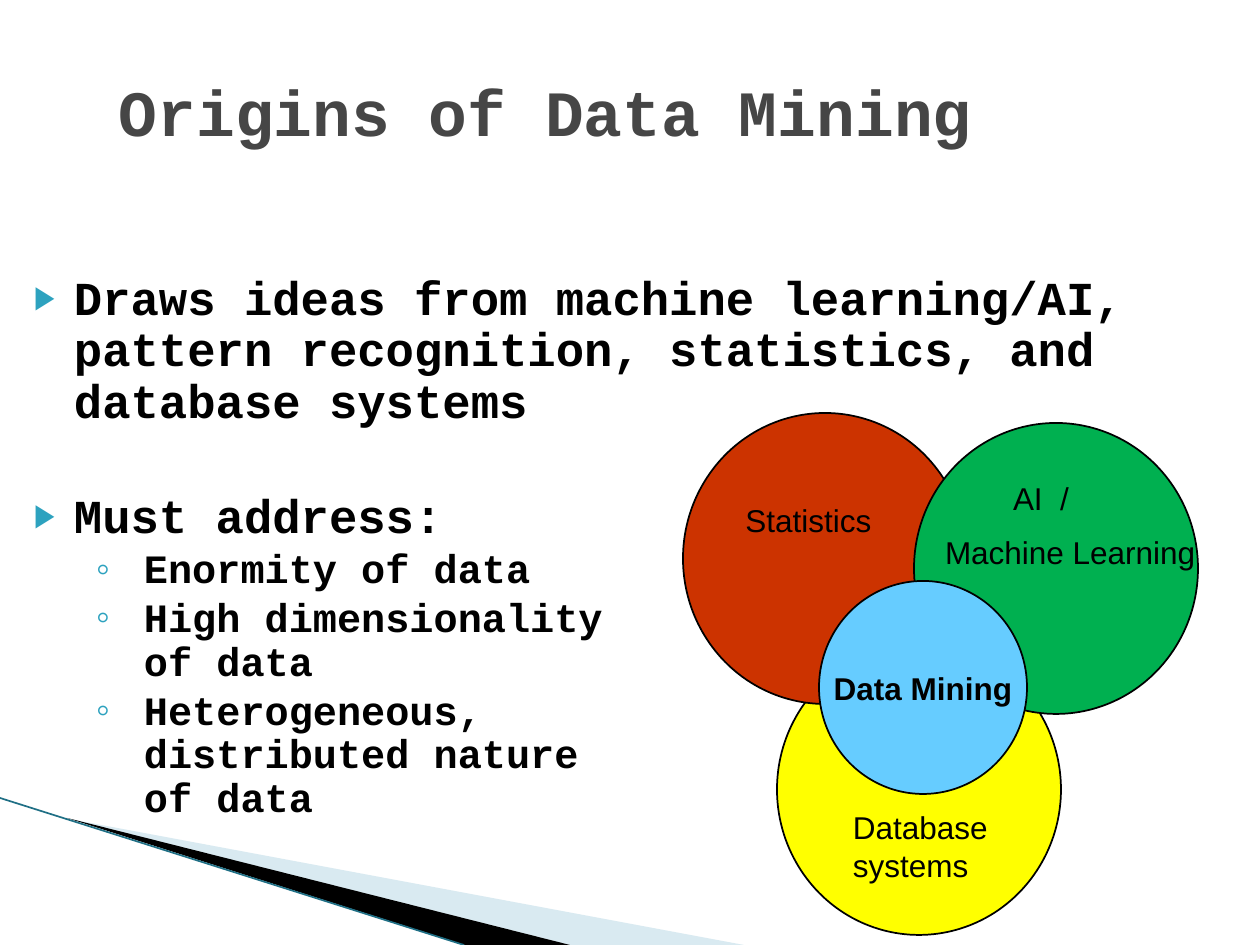
from lxml.etree import SubElement
from pptx import Presentation
from pptx.dml.color import RGBColor
from pptx.enum.shapes import MSO_CONNECTOR, MSO_SHAPE
from pptx.enum.text import MSO_ANCHOR, PP_ALIGN
from pptx.oxml.ns import qn
from pptx.util import Emu, Pt

EMU_PER_PX = 914400 / 126
COLORS = {
    "title": "464646",
    "ink": "000000",
    "bullet": "2DA2BF",
    "mist": "A0CBDC",
    "edge": "1F6F85",
    "statistics": "CC3300",
    "learning": "00B050",
    "database": "FFFF00",
    "mining": "66CCFF",
}
MAIN = {"size": 27, "margin": 40, "hang": 40, "mark": "▶", "scale": 68}
SUB = {"size": 23, "margin": 110, "hang": 48, "mark": "◦", "scale": 100}
POINTS = [
    (MAIN, 0, ["Draws ideas from machine learning/AI, pattern recognition, "
               "statistics, and database systems"]),
    (MAIN, 36, ["Must address:"]),
    (SUB, 2.8, ["Enormity of data"]),
    (SUB, 2.8, ["High dimensionality", "of data"]),
    (SUB, 2.8, ["Heterogeneous,", "distributed nature", "of data"]),
]


def px(length):
    return Emu(round(length * EMU_PER_PX))


def color(name):
    return RGBColor.from_string(COLORS[name])


def add_wedge(slide, corners, fill, opacity=100):
    builder = slide.shapes.build_freeform(*corners[0], scale=EMU_PER_PX)
    builder.add_line_segments(corners[1:], close=True)
    wedge = builder.convert_to_shape()
    wedge.shadow.inherit = False
    wedge.fill.solid()
    wedge.fill.fore_color.rgb = color(fill)
    wedge.line.fill.background()
    if opacity < 100:
        tint = wedge.fill._xPr.find(".//" + qn("a:srgbClr"))
        SubElement(tint, qn("a:alpha"), val=str(opacity * 1000))


def add_edge(slide, x1, y1, x2, y2):
    edge = slide.shapes.add_connector(
        MSO_CONNECTOR.STRAIGHT, px(x1), px(y1), px(x2), px(y2))
    edge.line.color.rgb = color("edge")
    edge.line.width = Pt(0.95)
    SubElement(edge._element.spPr, qn("a:effectLst"))


def add_circle(slide, left, top, width, height, fill):
    circle = slide.shapes.add_shape(
        MSO_SHAPE.OVAL, px(left), px(top), px(width), px(height))
    circle.shadow.inherit = False
    circle.fill.solid()
    circle.fill.fore_color.rgb = color(fill)
    circle.line.color.rgb = color("ink")
    circle.line.width = Pt(1)
    return circle


def add_text_frame(slide, left, top, width, height):
    frame = slide.shapes.add_textbox(
        px(left), px(top), px(width), px(height)).text_frame
    frame.word_wrap = True
    frame.margin_left = frame.margin_right = 0
    frame.margin_top = frame.margin_bottom = 0
    return frame


def add_run(paragraph, words, size, font="Arial", ink="ink", bold=False):
    run = paragraph.add_run()
    run.text = words
    run.font.size = Pt(size)
    run.font.name = font
    run.font.bold = bold
    run.font.color.rgb = color(ink)


def next_paragraph(frame, index):
    return frame.add_paragraph() if index else frame.paragraphs[0]


def add_bullet(paragraph, style):
    props = paragraph._p.get_or_add_pPr()
    props.set("marL", str(px(style["margin"])))
    props.set("indent", str(-px(style["hang"])))
    tint = SubElement(props, qn("a:buClr"))
    SubElement(tint, qn("a:srgbClr"), val=COLORS["bullet"])
    SubElement(props, qn("a:buSzPct"), val=str(style["scale"] * 1000))
    SubElement(props, qn("a:buFont"), typeface="Arial")
    SubElement(props, qn("a:buChar"), char=style["mark"])


def add_points(slide):
    frame = add_text_frame(slide, 34, 274, 1193, 560)
    for index, (style, gap, lines) in enumerate(POINTS):
        point = next_paragraph(frame, index)
        point.line_spacing = 0.91
        point.space_before = Pt(gap)
        add_bullet(point, style)
        for number, line in enumerate(lines):
            if number:
                point.add_line_break()
            add_run(point, line, style["size"], "Courier New", bold=True)


def add_label(slide, left, top, width, height, lines, align=PP_ALIGN.LEFT):
    frame = add_text_frame(slide, left, top, width, height)
    for index, (words, indent) in enumerate(lines):
        line = next_paragraph(frame, index)
        line.alignment = align
        line.space_before = Pt(9 if index else 0)
        if indent:
            line._p.get_or_add_pPr().set("marL", str(px(indent)))
        add_run(line, words, 18)


def add_title(slide):
    frame = add_text_frame(slide, 119, 74, 921, 73)
    frame.vertical_anchor = MSO_ANCHOR.MIDDLE
    add_run(frame.paragraphs[0], "Origins of Data Mining", 36.9,
            "Courier New", "title", True)


def add_venn(slide):
    add_circle(slide, 777, 644, 284, 291, "database")
    add_circle(slide, 683, 413, 284, 291, "statistics")
    add_circle(slide, 914, 423, 284, 291, "learning")
    add_label(slide, 945, 479, 294, 95,
              [("AI  /", 68), ("Machine Learning", 0)])
    add_label(slide, 714, 501, 189, 38, [("Statistics", 0)], PP_ALIGN.CENTER)
    mining = add_circle(slide, 819, 581, 208, 213, "mining").text_frame
    mining.word_wrap = False
    mining.vertical_anchor = MSO_ANCHOR.MIDDLE
    mining.paragraphs[0].alignment = PP_ALIGN.CENTER
    add_run(mining.paragraphs[0], "Data Mining", 18, bold=True)
    add_label(slide, 853, 808, 174, 76, [("Database systems", 0)])


def main():
    deck = Presentation()
    deck.slide_width, deck.slide_height = px(1260), px(945)
    slide = deck.slides.add_slide(deck.slide_layouts[6])
    add_wedge(slide, [(69, 819), (744, 945), (570, 945)], "mist", 40)
    add_wedge(slide, [(67, 818), (570, 945), (465, 945)], "ink")
    add_edge(slide, 0, 798, 464, 945)
    add_points(slide)
    add_title(slide)
    add_venn(slide)
    deck.save("out.pptx")


if __name__ == "__main__":
    main()
